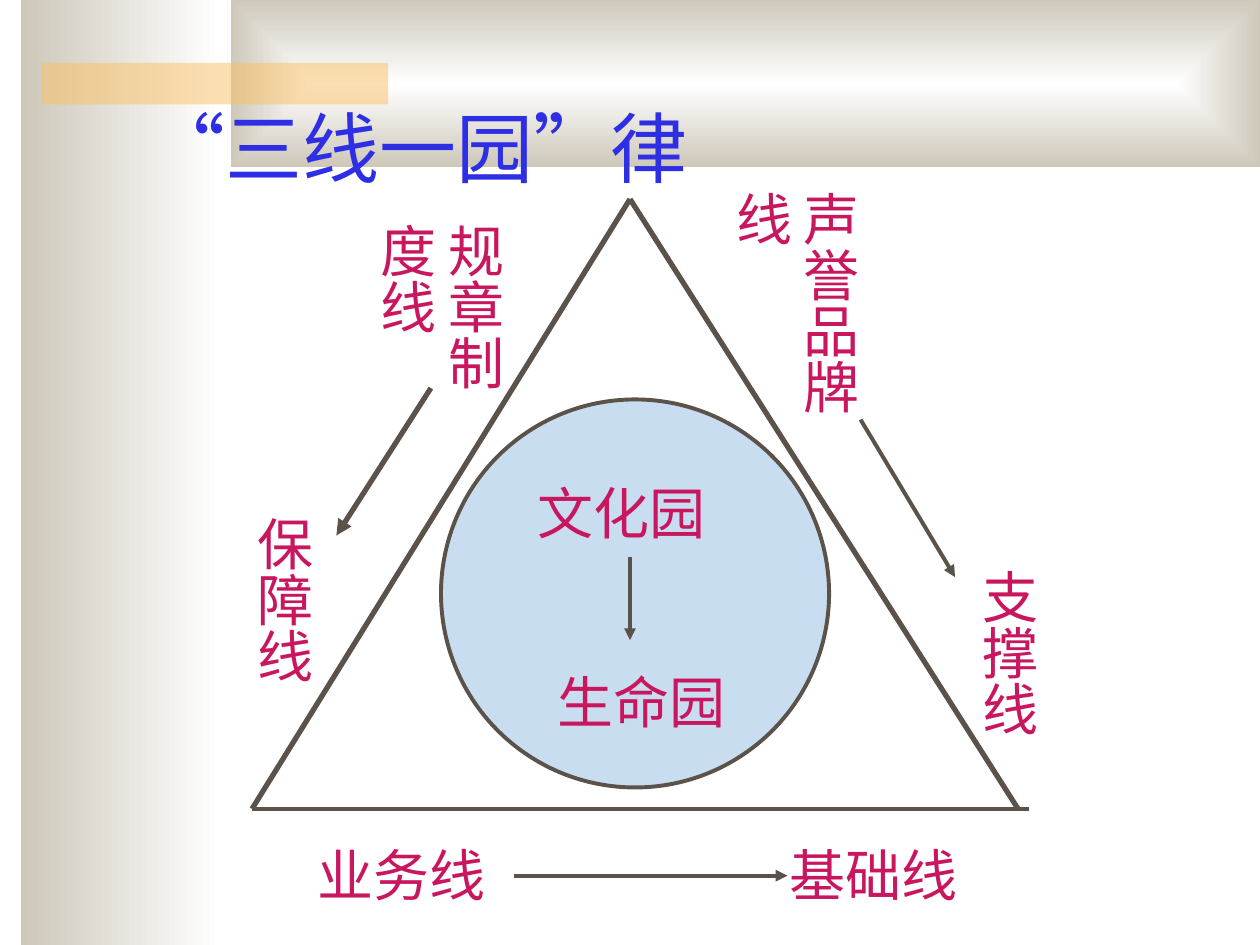
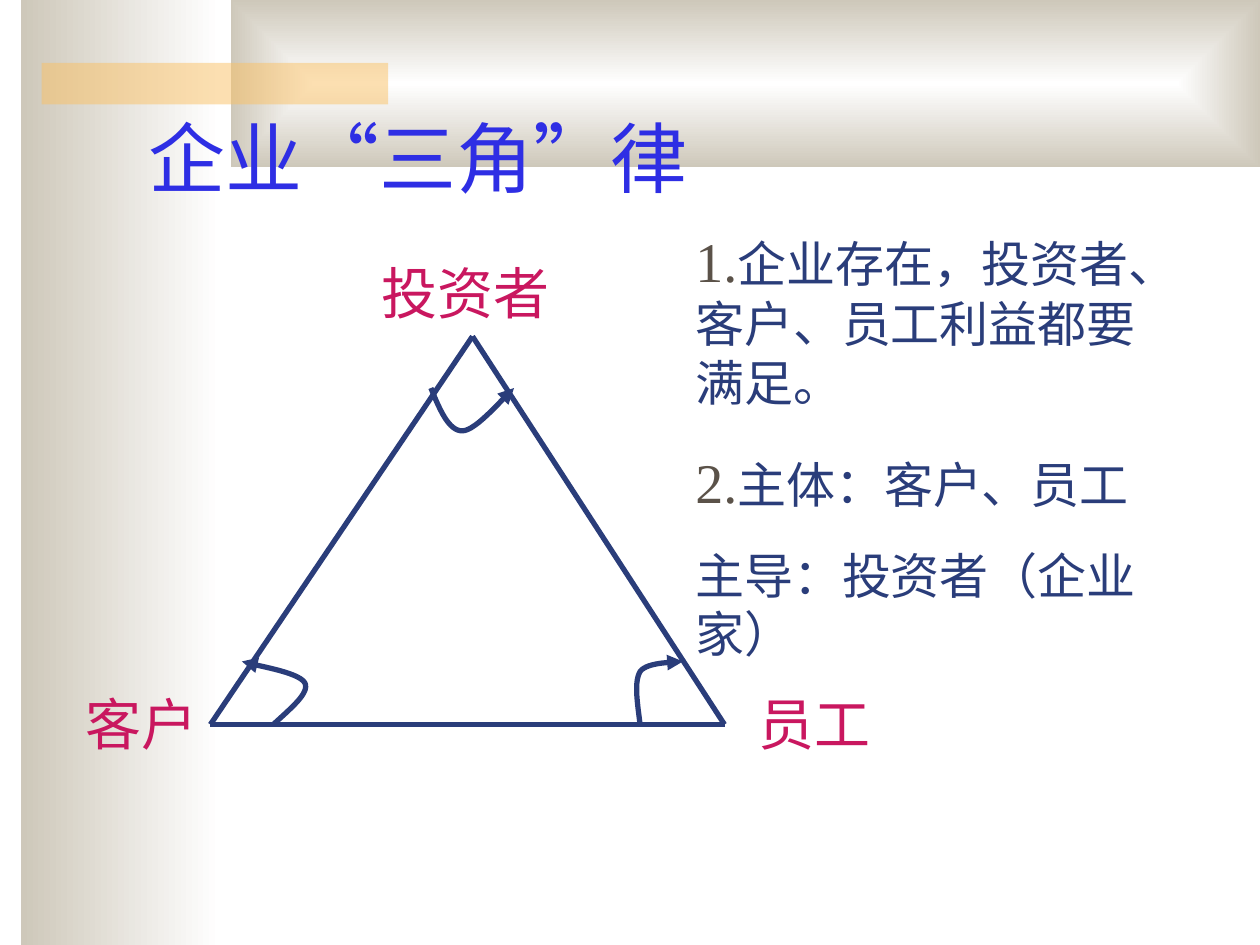
from lxml import etree
from pptx import Presentation
from pptx.dml.color import RGBColor
from pptx.enum.lang import MSO_LANGUAGE_ID
from pptx.enum.shapes import MSO_CONNECTOR, MSO_SHAPE
from pptx.enum.text import MSO_ANCHOR, MSO_AUTO_SIZE, PP_ALIGN
from pptx.oxml import parse_xml
from pptx.oxml.ns import nsdecls, qn
from pptx.util import Inches, Pt

STRAIGHT = MSO_CONNECTOR.STRAIGHT
RECTANGLE, OVAL = MSO_SHAPE.RECTANGLE, MSO_SHAPE.OVAL
LEFT, TOP, BOTTOM = PP_ALIGN.LEFT, MSO_ANCHOR.TOP, MSO_ANCHOR.BOTTOM
NO_FIT, GROW = MSO_AUTO_SIZE.NONE, MSO_AUTO_SIZE.SHAPE_TO_FIT_TEXT
CHINESE = MSO_LANGUAGE_ID.SIMPLIFIED_CHINESE

FONT = "Times New Roman"
COLORS = {
    "title": "2E2EE4", "label": "C9175F", "brown": "5B5249", "navy": "2A3D7A",
    "circle": "C9DDF1", "accent": "FAC164", "white": "FFFFFF", "stone": "CEC8BA",
}
LINEAR = '<a:lin ang="10800000" scaled="0"/>'
RECTANGULAR = ('<a:path path="rect"><a:fillToRect l="50000" t="50000" '
               'r="50000" b="50000"/></a:path>')


def rgb(name):
    return RGBColor.from_string(COLORS[name])


# Text
def add_span(para, text, color, size):
    span = para.add_run()
    span.text = text
    span.font.name = FONT
    span.font.size = Pt(size)
    span.font.color.rgb = rgb(color)
    span.font.language_id = CHINESE


def add_title(slide, text, top):
    title = slide.shapes.title
    title.left, title.top = Inches(1.08), Inches(top)
    title.width, title.height = Inches(8.5), Inches(0.83)
    frame = title.text_frame
    frame.auto_size = NO_FIT
    frame.vertical_anchor = BOTTOM
    para = frame.paragraphs[0]
    para.alignment = LEFT
    add_span(para, text, "title", 44)


def add_text_box(slide, left, top, width, height):
    box = slide.shapes.add_textbox(Inches(left), Inches(top), Inches(width), Inches(height))
    frame = box.text_frame
    frame.word_wrap = True
    frame.auto_size = GROW
    frame.vertical_anchor = TOP
    return frame


def add_label(slide, text, left, top, width, height=0.64):
    frame = add_text_box(slide, left, top, width, height)
    add_span(frame.paragraphs[0], text, "label", 32)
    return frame


def add_vertical_label(slide, text, left, top, width, height):
    frame = add_label(slide, text, left, top, width, height)
    frame.margin_left = frame.margin_right = Inches(0.05)
    frame.margin_top = frame.margin_bottom = Inches(0.1)
    frame._txBody.bodyPr.set("vert", "eaVert")


def add_points(slide, left, top, width, height, points):
    frame = add_text_box(slide, left, top, width, height)
    for index, (number, text) in enumerate(points):
        para = frame.add_paragraph() if index else frame.paragraphs[0]
        if index:
            para.space_before = Pt(17.5)
        if number:
            add_span(para, number, "brown", 32)
        add_span(para, text, "navy", 28)


# Lines and shapes
def style_line(line, color, weight, arrow=False):
    line.color.rgb = rgb(color)
    line.width = Pt(weight)
    if arrow:
        etree.SubElement(line._get_or_add_ln(), qn("a:tailEnd"), type="triangle")


def add_line(slide, start, end, color, weight, arrow=False):
    connector = slide.shapes.add_connector(
        STRAIGHT, *(Inches(value) for value in (*start, *end)))
    style_line(connector.line, color, weight, arrow)
    etree.SubElement(connector.element.spPr, qn("a:effectLst"))


def curve_points(start, controls, steps=16):
    """Points along a chain of cubic curves, three control points each."""
    points = [start]
    for first in range(0, len(controls), 3):
        ends = [points[-1], *controls[first:first + 3]]
        for step in range(1, steps + 1):
            t = step / steps
            weights = ((1 - t) ** 3, 3 * t * (1 - t) ** 2, 3 * t * t * (1 - t), t ** 3)
            points.append(tuple(sum(w * end[axis] for w, end in zip(weights, ends))
                                for axis in (0, 1)))
    return points


def add_angle_arrow(slide, start, *controls):
    points = [(Inches(x), Inches(y)) for x, y in curve_points(start, controls)]
    builder = slide.shapes.build_freeform(*points[0])
    builder.add_line_segments(points[1:], close=False)
    arc = builder.convert_to_shape()
    arc.shadow.inherit = False
    arc.fill.background()
    style_line(arc.line, "navy", 3, arrow=True)


def add_filled_shape(slide, preset, left, top, width, height, color):
    shape = slide.shapes.add_shape(
        preset, Inches(left), Inches(top), Inches(width), Inches(height))
    shape.shadow.inherit = False
    shape.fill.solid()
    shape.fill.fore_color.rgb = rgb(color)
    shape.line.fill.background()
    return shape


def set_gradient(shape, direction):
    solid = shape.element.spPr.find(qn("a:solidFill"))
    stops = "".join(f'<a:gs pos="{position}"><a:srgbClr val="{COLORS[name]}"/></a:gs>'
                    for position, name in ((0, "white"), (100000, "stone")))
    solid.getparent().replace(solid, parse_xml(
        f'<a:gradFill {nsdecls("a")} rotWithShape="1">'
        f'<a:gsLst>{stops}</a:gsLst>{direction}</a:gradFill>'))


# Bands shared by all slides, kept on their layout
def add_bands(slide):
    side = add_filled_shape(slide, RECTANGLE, 0.17, 0, 1.58, 7.5, "stone")
    set_gradient(side, LINEAR)
    header = add_filled_shape(slide, RECTANGLE, 1.83, 0, 8.17, 1.33, "stone")
    set_gradient(header, RECTANGULAR)
    accent = add_filled_shape(slide, RECTANGLE, 0.33, 0.5, 2.75, 0.33, "accent")
    accent_color = accent.element.spPr.find(qn("a:solidFill"))[0]
    etree.SubElement(accent_color, qn("a:alpha"), val="50000")
    layout_tree = slide.slide_layout.shapes.element
    for index, band in enumerate((side, header, accent)):
        band.element.nvSpPr.cNvPr.set("id", str(20 + index))
        layout_tree.insert(2 + index, band.element)


def build_lines_slide(slide):
    add_title(slide, "“三线一园”律", 0.75)

    # Triangle and its base
    apex = (5, 1.58)
    add_line(slide, (2, 6.42), (8.17, 6.42), "brown", 2.25)
    for corner in ((2, 6.42), (8.08, 6.42)):
        add_line(slide, apex, corner, "brown", 3)

    # Three lines along the sides
    add_label(slide, "业务线", 2.42, 6.62, 1.75)
    add_label(slide, "基础线", 6.17, 6.62, 1.83)
    add_line(slide, (4.08, 6.95), (6.25, 6.95), "brown", 2.25, arrow=True)
    add_vertical_label(slide, "规章制度线", 2.82, 1.67, 1.26, 1.75)
    add_vertical_label(slide, "保障线", 1.84, 4, 0.73, 1.58)
    add_line(slide, (3.42, 3.08), (2.67, 4.25), "brown", 3, arrow=True)
    add_vertical_label(slide, "声誉品牌线", 6.17, 1.42, 0.73, 2.42)
    add_vertical_label(slide, "支撑线", 7.59, 4.42, 0.73, 1.92)
    add_line(slide, (6.83, 3.33), (7.58, 4.58), "brown", 2.25, arrow=True)

    # Garden in the centre
    garden = add_filled_shape(slide, OVAL, 3.5, 3.17, 3.08, 3.08, "circle")
    style_line(garden.line, "brown", 2.25)
    add_label(slide, "文化园", 4.17, 3.75, 1.75)
    add_label(slide, "生命园", 4.33, 5.25, 1.58)
    add_line(slide, (5, 4.42), (5, 5.08), "brown", 2.25, arrow=True)


def build_triangle_slide(slide):
    add_title(slide, "企业“三角”律", 0.83)

    # Triangle with labelled corners
    investor, customer, staff = (3.75, 2.67), (1.67, 5.75), (5.75, 5.75)
    for start, end in ((investor, customer), (customer, staff), (staff, investor)):
        add_line(slide, start, end, "navy", 3)
    add_label(slide, "投资者", 2.93, 2, 1.67)
    add_label(slide, "客户", 0.58, 5.42, 1.17)
    add_label(slide, "员工", 5.92, 5.42, 1.17)

    # Angle arrows
    add_angle_arrow(slide, (5.08, 5.75), (5.06, 5.58), (5.03, 5.42), (5.08, 5.33),
                    (5.14, 5.25), (5.36, 5.26), (5.42, 5.25))
    add_angle_arrow(slide, (2.17, 5.75), (2.31, 5.62), (2.46, 5.5), (2.42, 5.42),
                    (2.37, 5.33), (2, 5.28), (1.92, 5.25))
    add_angle_arrow(slide, (3.42, 3.08), (3.49, 3.25), (3.56, 3.42), (3.67, 3.42),
                    (3.78, 3.42), (4.01, 3.14), (4.08, 3.08))

    # Explanation
    add_points(slide, 5.42, 1.75, 4, 1.57,
               [("1.", "企业存在，投资者、客户、员工利益都要满足。")])
    add_points(slide, 5.42, 3.5, 4.33, 1.81,
               [("2.", "主体：客户、员工"), ("", "主导：投资者（企业家）")])


def main():
    deck = Presentation()
    deck.slide_width, deck.slide_height = Inches(10), Inches(7.5)
    title_only = deck.slide_layouts[5]
    lines_slide = deck.slides.add_slide(title_only)
    add_bands(lines_slide)
    build_lines_slide(lines_slide)
    build_triangle_slide(deck.slides.add_slide(title_only))
    deck.save("out.pptx")


if __name__ == "__main__":
    main()
